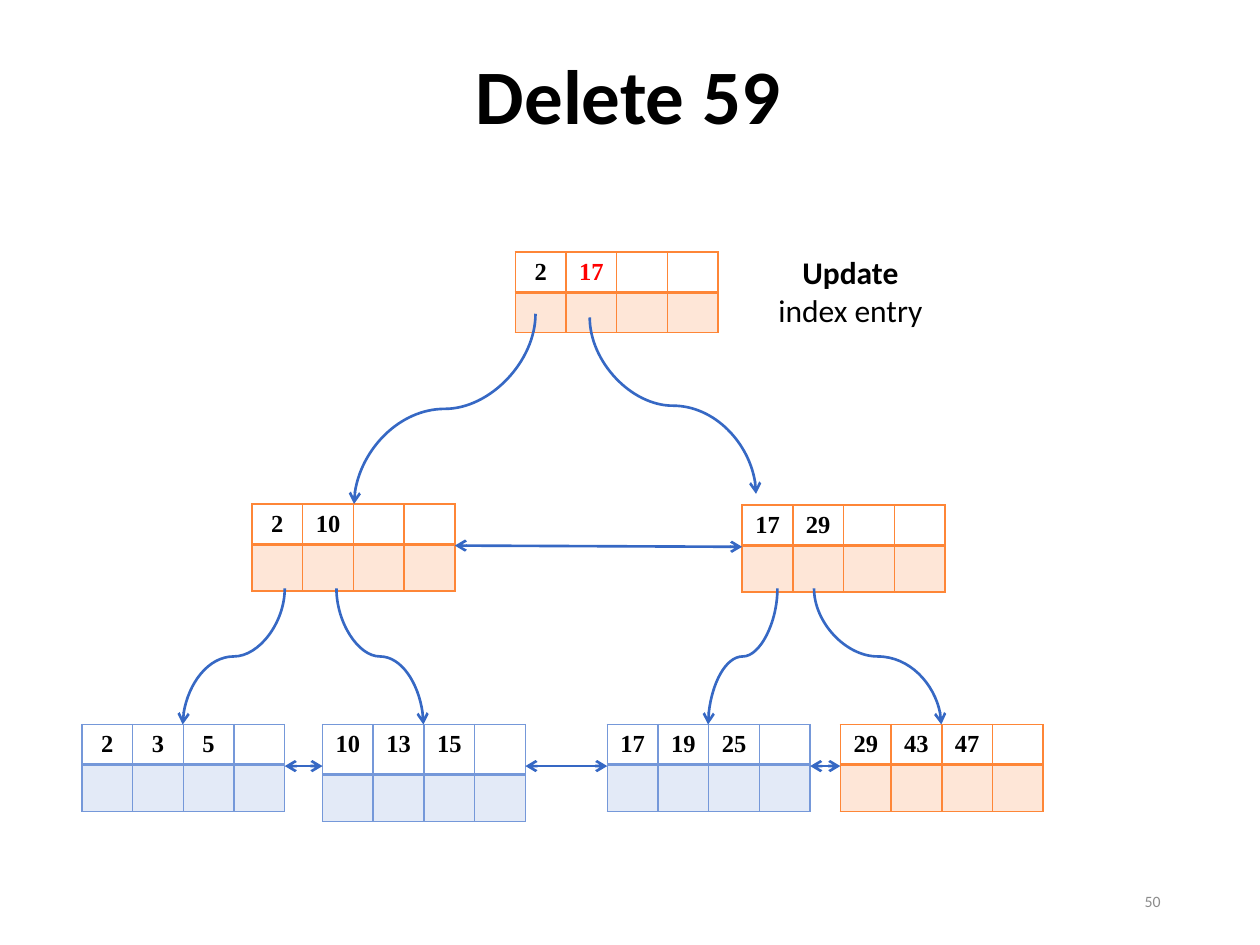
"""Build a slide showing a B+ tree after deleting key 59."""
from lxml.etree import SubElement
from pptx import Presentation
from pptx.dml.color import RGBColor
from pptx.enum.shapes import MSO_CONNECTOR as Link
from pptx.enum.text import MSO_ANCHOR as Anchor, PP_ALIGN as Align
from pptx.oxml.ns import qn
from pptx.util import Inches, Pt

COLORS = {"black": "000000", "red": "FF0000", "gray": "8C8C8C",
          "orange": "FE8637", "blue": "7598D9", "arrow": "3668C4"}
KEY_FORMAT = {"name": "Times New Roman", "size": Pt(14), "bold": True}
SLOTS = 4
NODE_WIDTH = 1.61
KEY_ROW, POINTER_ROW = 0.32, 0.37
LEAF_TOP = 5.75

NODES = [
    (4.09, 2, ["2", "17"], "orange", KEY_ROW, 0.32),
    (2, 4, ["2", "10"], "orange", KEY_ROW, POINTER_ROW),
    (5.89, 4.01, ["17", "29"], "orange", KEY_ROW, POINTER_ROW),
    (0.65, LEAF_TOP, ["2", "3", "5"], "blue", KEY_ROW, POINTER_ROW),
    (2.56, LEAF_TOP, ["10", "13", "15"], "blue", 0.4, POINTER_ROW),
    (4.82, LEAF_TOP, ["17", "19", "25"], "blue", KEY_ROW, POINTER_ROW),
    (6.67, LEAF_TOP, ["29", "43", "47"], "orange", KEY_ROW, POINTER_ROW),
]
CHILD_LINKS = [
    (4.25, 2.49, 2.81, 4), (4.68, 2.52, 6, 3.92),
    (2.26, 4.67, 1.45, LEAF_TOP), (2.67, 4.67, 3.36, LEAF_TOP),
    (6.17, 4.67, 5.62, LEAF_TOP), (6.46, 4.67, 7.47, LEAF_TOP),
]
SIBLING_LINKS = [
    (3.61, 4.33, 5.89, 4.34), (2.26, 6.08, 2.56, 6.08),
    (4.17, 6.08, 4.82, 6.08), (6.43, 6.08, 6.67, 6.08),
]


def rgb(name):
    return RGBColor.from_string(COLORS[name])


def add_span(para, text, color, formats):
    span = para.add_run()
    span.text = text
    span.font.color.rgb = rgb(color)
    for key, value in formats.items():
        setattr(span.font, key, value)


def fill_text(shape, place, spans, color, align, anchor):
    shape.left, shape.top, shape.width, shape.height = map(Inches, place)
    frame = shape.text_frame
    frame.word_wrap = True
    frame.vertical_anchor = anchor
    para = frame.paragraphs[0]
    para.alignment = align
    for text, size, bold in spans:
        add_span(para, text, color,
                 {"name": "Calibri", "size": Pt(size), "bold": bold})
    return para


def add_text(page, *details):
    box = page.shapes.add_textbox(0, 0, 0, 0)
    return fill_text(box, *details)


def set_borders(cell, color, widths):
    properties = cell._tc.get_or_add_tcPr()
    for side, width in widths.items():
        line = SubElement(properties, qn(f"a:ln{side}"), w=str(Pt(width)))
        paint = SubElement(line, qn("a:solidFill"))
        SubElement(paint, qn("a:srgbClr"), val=COLORS[color])


def fill_pointer(cell, color):
    cell.fill.solid()
    cell.fill.fore_color.rgb = rgb(color)
    tint = cell._tc.tcPr.find(f"{qn('a:solidFill')}/{qn('a:srgbClr')}")
    SubElement(tint, qn("a:alpha"), val="20000")


def write_key(cell, key):
    para = cell.text_frame.paragraphs[0]
    para.alignment = Align.CENTER
    add_span(para, key, "black", KEY_FORMAT)


def add_node(page, left, top, keys, color, *heights):
    table = page.shapes.add_table(
        2, SLOTS, Inches(left), Inches(top),
        Inches(NODE_WIDTH), Inches(sum(heights))).table
    table.first_row = table.horz_banding = False
    for row, height in zip(table.rows, heights):
        row.height = Inches(height)
    for slot in range(SLOTS):
        key_cell, pointer_cell = (table.cell(row, slot) for row in range(2))
        for cell in (key_cell, pointer_cell):
            cell.margin_left = cell.margin_right = Inches(0.05)
            cell.margin_top = cell.margin_bottom = 0
        set_borders(key_cell, color, {"L": 1, "R": 1, "T": 1, "B": 2})
        set_borders(pointer_cell, color, {"L": 1, "R": 1, "T": 2, "B": 1})
        key_cell.fill.background()
        fill_pointer(pointer_cell, color)
        if slot < len(keys):
            key_cell.margin_top = Inches(0.05)
            write_key(key_cell, keys[slot])
    return table


def add_arrow(page, kind, points, ends):
    arrow = page.shapes.add_connector(kind, *map(Inches, points))
    arrow.line.color.rgb = rgb("arrow")
    arrow.line.width = Pt(1.5)
    line = arrow.line._get_or_add_ln()
    for end in ends:
        SubElement(line, qn(f"a:{end}"), type="arrow")
    SubElement(arrow._element.spPr, qn("a:effectLst"))
    return arrow


def add_child_link(page, x1, y1, x2, y2):
    """Draw a curve that leaves and arrives vertically, by a quarter turn."""
    middle_x, middle_y = (x1 + x2) / 2, (y1 + y2) / 2
    rightward = x2 > x1
    half_run = (y2 - y1) / 2 * (-1 if rightward else 1)
    half_rise = abs(x2 - x1) / 2
    points = (middle_x - half_run, middle_y - half_rise,
              middle_x + half_run, middle_y + half_rise)
    arrow = add_arrow(page, Link.CURVE, points, ["tailEnd"])
    turn = 270 if rightward else 90
    arrow._element.spPr.find(qn("a:xfrm")).set("rot", str(turn * 60000))


def main():
    deck = Presentation()
    deck.slide_width, deck.slide_height = Inches(10), Inches(7.5)
    page = deck.slides.add_slide(deck.slide_layouts[5])
    title = fill_text(page.shapes.title, (0.49, 0.25, 8.99, 1.08),
                      [("Delete 59", 44, True)], "black",
                      Align.CENTER, Anchor.MIDDLE)
    title.line_spacing = 0.9
    add_text(page, (7.06, 6.95, 2.25, 0.4), [("50", 9, False)], "gray",
             Align.RIGHT, Anchor.MIDDLE)
    root, *_ = [add_node(page, *node) for node in NODES]
    changed = root.cell(0, 1).text_frame.paragraphs[0].runs[0]
    changed.font.color.rgb = rgb("red")
    for points in CHILD_LINKS:
        add_child_link(page, *points)
    for points in SIBLING_LINKS:
        add_arrow(page, Link.STRAIGHT, points, ["headEnd", "tailEnd"])
    add_text(page, (6.02, 1.96, 1.46, 0.71),
             [("Update", 18, True), (" index entry", 18, False)], "black",
             Align.CENTER, Anchor.TOP)
    deck.save("out.pptx")


if __name__ == "__main__":
    main()
